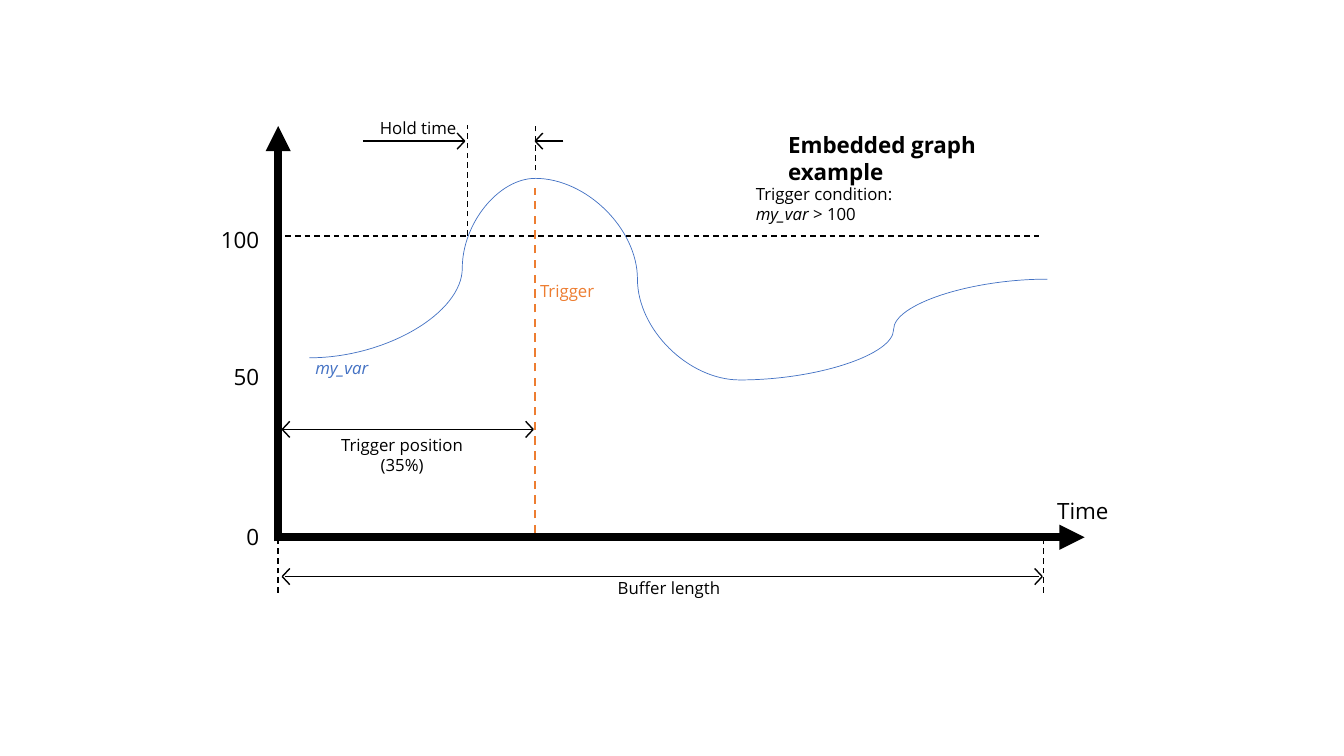
import lxml.etree
import pptx
import pptx.dml.color
import pptx.enum.dml
import pptx.enum.shapes
import pptx.enum.text
import pptx.oxml.ns
import pptx.util

Pt = pptx.util.Pt
BLACK = pptx.dml.color.RGBColor(0x00, 0x00, 0x00)
BLUE = pptx.dml.color.RGBColor(0x44, 0x72, 0xC4)
ORANGE = pptx.dml.color.RGBColor(0xED, 0x7D, 0x31)
STRAIGHT = pptx.enum.shapes.MSO_CONNECTOR.STRAIGHT
CURVE = pptx.enum.shapes.MSO_CONNECTOR.CURVE
ALIGN = pptx.enum.text.PP_ALIGN
FONT = "Open Sans"

AXIS_X = 198.72
AXIS_Y = 383.76
THRESHOLD_Y = 168.48
CROSSING_X = 334.08
TRIGGER_X = 382.32
PEAK_Y = 127.44
TROUGH = (528.48, 271.44)
BUFFER_END_X = 745.2
HOLD_Y = 100.8
POSITION_Y = 306.72
BUFFER_Y = 411.84


def add_line(page, start, end, color=BLACK, width=1, dashed=False, arrow=False, kind=STRAIGHT):
    line = page.shapes.add_connector(kind, *[Pt(value) for value in (*start, *end)])
    line.line.color.rgb = color
    line.line.width = Pt(width)
    if dashed:
        line.line.dash_style = pptx.enum.dml.MSO_LINE.DASH
    properties = line._element.spPr
    if arrow:
        outline = line.line._get_or_add_ln()
        lxml.etree.SubElement(outline, pptx.oxml.ns.qn("a:tailEnd"), type="triangle")
    lxml.etree.SubElement(properties, pptx.oxml.ns.qn("a:effectLst"))
    return line


def add_curve(page, start, end, bend=50000):
    curve = add_line(page, start, end, color=BLUE, width=0.5, kind=CURVE)
    guides = curve._element.spPr.find(".//" + pptx.oxml.ns.qn("a:avLst"))
    lxml.etree.SubElement(guides, pptx.oxml.ns.qn("a:gd"), name="adj1", fmla=f"val {bend}")


def add_chevron(page, x, y, direction):
    back = x - direction * 5.4
    for rise in (-5.76, 5.76):
        add_line(page, (back, y + rise), (x, y))


def add_span_arrow(page, start, end, y, left_tip, right_tip):
    add_line(page, (start, y), (end, y))
    add_chevron(page, left_tip, y, -1)
    add_chevron(page, right_tip, y, 1)


def add_text(page, text, left, top, width, height, size=12, color=BLACK,
             bold=False, italic="", align=ALIGN.LEFT):
    box = page.shapes.add_textbox(Pt(left), Pt(top), Pt(width), Pt(height))
    frame = box.text_frame
    frame.word_wrap = True
    frame.auto_size = pptx.enum.text.MSO_AUTO_SIZE.SHAPE_TO_FIT_TEXT
    for index, content in enumerate(text.split("\n")):
        para = frame.paragraphs[0] if index == 0 else frame.add_paragraph()
        para.alignment = align
        slanted = italic if italic and content.startswith(italic) else ""
        for part in (slanted, content[len(slanted):]):
            if part:
                span = para.add_run()
                span.text = part
                span.font.name = FONT
                span.font.size = Pt(size)
                span.font.color.rgb = color
                span.font.bold = bold
                span.font.italic = part == slanted


def draw_axes(page):
    add_line(page, (AXIS_X, 386.64), (AXIS_X, 90), width=6, arrow=True)
    add_line(page, (AXIS_X, AXIS_Y), (774.72, AXIS_Y), width=6, arrow=True)
    add_text(page, "Time", 748.08, 351.36, 70.56, 26.64, size=16)
    for value, top in (("100", 157.68), ("50", 255.6), ("0", 370.08)):
        add_text(page, value, 121.68, top, 70.56, 26.64, size=16, align=ALIGN.RIGHT)


def draw_signal(page):
    add_curve(page, (221.04, 255.6), (TRIGGER_X, PEAK_Y), bend=67700)
    add_curve(page, TROUGH, (TRIGGER_X, PEAK_Y))
    add_curve(page, TROUGH, (748.08, 199.44))
    add_text(page, "my_var", 218.16, 252, 121.68, 21.6, color=BLUE, italic="my_var")


def draw_guides(page):
    add_line(page, (203.76, THRESHOLD_Y), (BUFFER_END_X, THRESHOLD_Y), dashed=True)
    add_line(page, (CROSSING_X, THRESHOLD_Y), (CROSSING_X, 89.28), dashed=True)
    add_line(page, (TRIGGER_X, 121.68), (TRIGGER_X, 89.28), dashed=True)
    for x in (AXIS_X, BUFFER_END_X):
        add_line(page, (x, 423.36), (x, AXIS_Y), dashed=True)


def draw_measures(page):
    add_line(page, (259.2, HOLD_Y), (331.92, HOLD_Y))
    add_chevron(page, 331.92, HOLD_Y, 1)
    add_line(page, (402.48, HOLD_Y), (TRIGGER_X, HOLD_Y))
    add_chevron(page, TRIGGER_X, HOLD_Y, -1)
    add_span_arrow(page, 203.76, 742.32, BUFFER_Y, 201.6, 744.48)
    add_span_arrow(page, AXIS_X, 380.88, POSITION_Y, 201.6, 380.88)
    add_text(page, "Hold time", 264.24, 80.64, 70.56, 21.6)
    add_text(page, "Buffer length", 434.16, 408.96, 105.12, 21.6)
    add_text(page, "Trigger position\n(35%)", 234.72, 306.72, 105.12, 36, align=ALIGN.CENTER)


def main():
    deck = pptx.Presentation()
    deck.slide_width = Pt(960)
    deck.slide_height = Pt(540)
    page = deck.slides.add_slide(deck.slide_layouts[6])
    add_line(page, (TRIGGER_X, 380.88), (TRIGGER_X, 134.64), color=ORANGE, width=1.5, dashed=True)
    draw_axes(page)
    draw_signal(page)
    draw_guides(page)
    add_text(page, "Trigger condition:\nmy_var > 100", 532.8, 127.44, 219.6, 36, italic="my_var ")
    add_text(page, "Embedded graph example", 555.84, 90, 219.6, 26.64, size=16, bold=True)
    draw_measures(page)
    add_text(page, "Trigger", 378.72, 197.28, 105.12, 21.6, color=ORANGE)
    deck.save("out.pptx")


if __name__ == "__main__":
    main()
